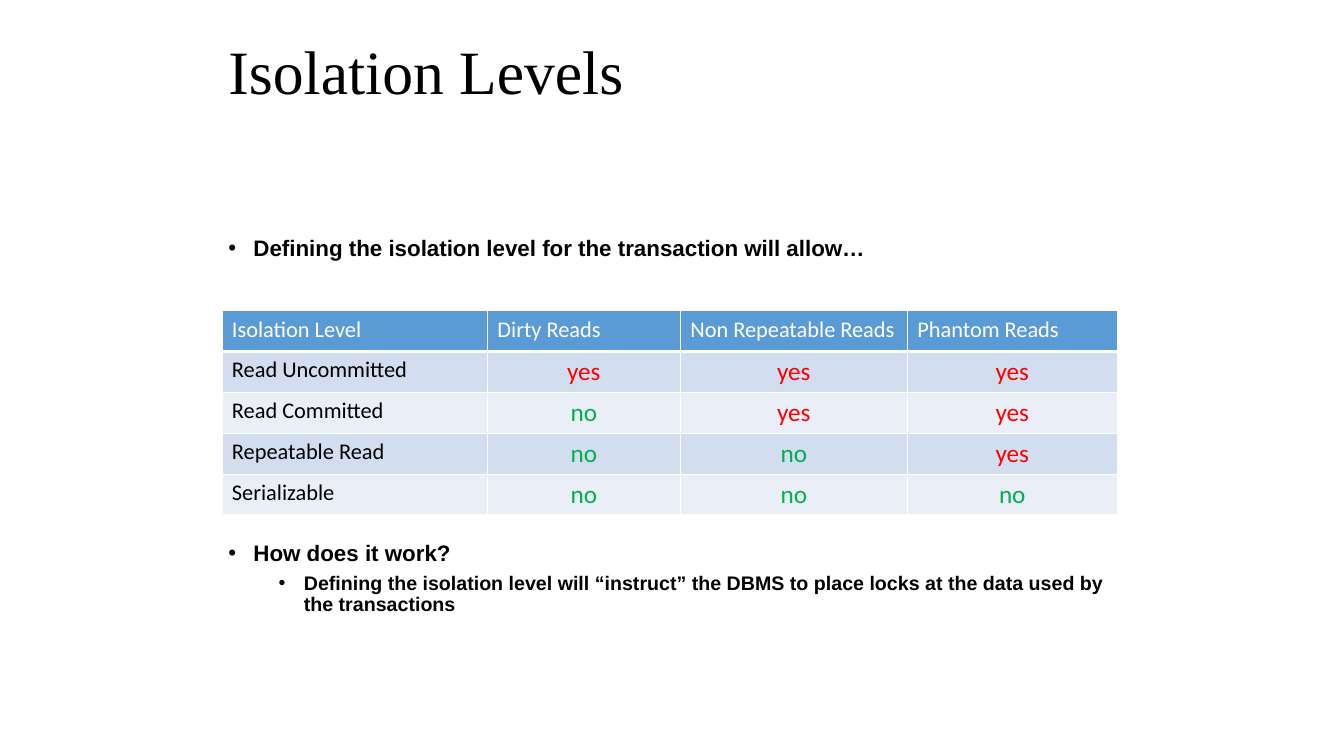
import dataclasses

import pptx
import pptx.dml.color
import pptx.enum.text
import pptx.oxml
import pptx.oxml.ns
import pptx.util

Pt = pptx.util.Pt
ALIGN = pptx.enum.text.PP_ALIGN

BLACK, WHITE = "000000", "FFFFFF"
HEADER_FILL = "5B9BD5"
BAND_FILLS = ("D2DEEF", "EAEFF7")
ANSWER_COLORS = {"yes": "FF0000", "no": "00B050"}
COLUMN_WIDTHS = (189.6, 137.9, 162.1, 150)
ROW_HEIGHT = 29.2
HEADINGS = ("Isolation Level", "Dirty Reads", "Non Repeatable Reads", "Phantom Reads")


@dataclasses.dataclass(frozen=True)
class IsolationLevel:
    name: str
    answers: tuple[str, str, str]


@dataclasses.dataclass(frozen=True)
class Bullet:
    text: str
    size: float
    level: int
    indent: float
    space_before: float


ISOLATION_LEVELS = (
    IsolationLevel("Read Uncommitted", ("yes", "yes", "yes")),
    IsolationLevel("Read Committed", ("no", "yes", "yes")),
    IsolationLevel("Repeatable Read", ("no", "no", "yes")),
    IsolationLevel("Serializable", ("no", "no", "no")),
)

# The second bullet's spacing leaves room for the table.
BULLETS = (
    Bullet("Defining the isolation level for the transaction will allow…", 16, 0, 18, 0),
    Bullet("How does it work?", 16, 0, 18, 200.6),
    Bullet("Defining the isolation level will “instruct” the DBMS to place locks "
           "at the data used by the transactions", 14, 1, 54, 5),
)


def rgb(value: str) -> pptx.dml.color.RGBColor:
    return pptx.dml.color.RGBColor.from_string(value)


def add_run(paragraph, text: str, font: str, size: float, color: str,
            bold: bool = False) -> None:
    run = paragraph.add_run()
    run.text = text
    run.font.name = font
    run.font.size = Pt(size)
    run.font.bold = bold
    run.font.color.rgb = rgb(color)


def set_title(slide) -> None:
    title = slide.shapes.title
    title.left, title.top, title.width, title.height = Pt(156), Pt(17.25), Pt(648), Pt(72)
    frame = title.text_frame
    frame.auto_size = pptx.enum.text.MSO_AUTO_SIZE.NONE
    frame.vertical_anchor = pptx.enum.text.MSO_ANCHOR.MIDDLE
    paragraph = frame.paragraphs[0]
    paragraph.alignment = ALIGN.LEFT
    paragraph.line_spacing = 0.9
    add_run(paragraph, "Isolation Levels", "Times New Roman", 44, BLACK)


def add_bullets(slide) -> None:
    frame = slide.shapes.add_textbox(Pt(156), Pt(165.75), Pt(648), Pt(338.25)).text_frame
    frame.word_wrap = True
    for index, bullet in enumerate(BULLETS):
        paragraph = frame.add_paragraph() if index else frame.paragraphs[0]
        paragraph.level = bullet.level
        paragraph.line_spacing = 0.9
        paragraph.space_before = Pt(bullet.space_before)
        properties = paragraph._p.get_or_add_pPr()
        properties.set("marL", str(Pt(bullet.indent)))
        properties.set("indent", str(Pt(-18)))
        namespace = pptx.oxml.ns.nsdecls("a")
        for markup in (f'<a:buFont {namespace} typeface="Arial"/>',
                       f'<a:buChar {namespace} char="•"/>'):
            properties.append(pptx.oxml.parse_xml(markup))
        add_run(paragraph, bullet.text, "Arial", bullet.size, BLACK, bold=True)


def set_borders(cell, bottom_width: float) -> None:
    """Draw white lines on all sides of a cell that has no fill yet."""
    properties = cell._tc.get_or_add_tcPr()
    for side, width in (("L", 1), ("R", 1), ("T", 1), ("B", bottom_width)):
        properties.append(pptx.oxml.parse_xml(
            f'<a:ln{side} {pptx.oxml.ns.nsdecls("a")} w="{Pt(width)}">'
            f'<a:solidFill><a:srgbClr val="{WHITE}"/></a:solidFill></a:ln{side}>'))


def fill_cell(cell, text: str, fill: str, color: str, size: float = 16,
              alignment: ALIGN = ALIGN.LEFT, bottom_width: float = 1) -> None:
    set_borders(cell, bottom_width)
    cell.fill.solid()
    cell.fill.fore_color.rgb = rgb(fill)
    paragraph = cell.text_frame.paragraphs[0]
    paragraph.alignment = alignment
    add_run(paragraph, text, "Calibri", size, color)


def add_level_table(slide) -> None:
    row_count = len(ISOLATION_LEVELS) + 1
    table = slide.shapes.add_table(
        row_count, len(HEADINGS), Pt(158.5), Pt(221.9),
        Pt(sum(COLUMN_WIDTHS)), Pt(ROW_HEIGHT * row_count)).table
    for column, width in zip(table.columns, COLUMN_WIDTHS):
        column.width = Pt(width)
    for row in table.rows:
        row.height = Pt(ROW_HEIGHT)
    for column, heading in enumerate(HEADINGS):
        fill_cell(table.cell(0, column), heading, HEADER_FILL, WHITE, bottom_width=3)
    for row, level in enumerate(ISOLATION_LEVELS, start=1):
        band = BAND_FILLS[(row - 1) % 2]
        fill_cell(table.cell(row, 0), level.name, band, BLACK)
        for column, answer in enumerate(level.answers, start=1):
            fill_cell(table.cell(row, column), answer, band, ANSWER_COLORS[answer],
                      size=18, alignment=ALIGN.CENTER)


def main() -> None:
    presentation = pptx.Presentation()
    presentation.slide_width, presentation.slide_height = Pt(960), Pt(540)
    slide = presentation.slides.add_slide(presentation.slide_layouts[5])
    set_title(slide)
    add_bullets(slide)
    add_level_table(slide)
    presentation.save("out.pptx")


if __name__ == "__main__":
    main()
